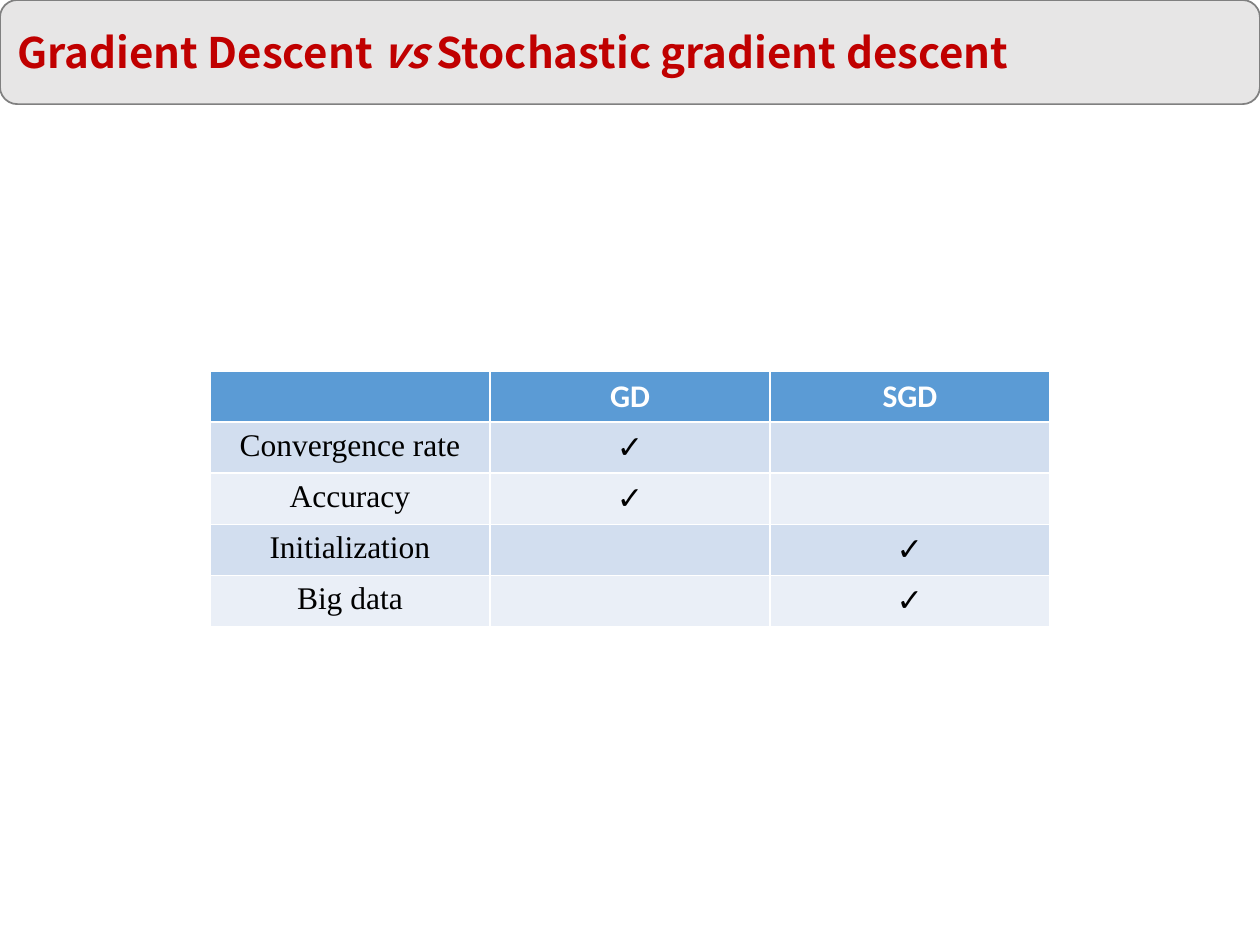
from pptx import Presentation
from pptx.dml.color import RGBColor
from pptx.enum.shapes import MSO_SHAPE
from pptx.enum.text import MSO_ANCHOR, PP_ALIGN
from pptx.util import Pt


def rgb(color):
    return RGBColor.from_string(color)


def style(r, size, font, color, bold=False, italic=False):
    r.font.size = Pt(size)
    r.font.name = font
    r.font.color.rgb = rgb(color)
    r.font.bold = bold
    r.font.italic = italic


prs = Presentation()
prs.slide_width, prs.slide_height = Pt(720), Pt(540)
s = prs.slides.add_slide(prs.slide_layouts[6])

# Title bar
sp = s.shapes.add_shape(MSO_SHAPE.ROUNDED_RECTANGLE, 0, 0, Pt(720), Pt(59.5))
sp.shadow.inherit = False
sp.fill.solid()
sp.fill.fore_color.rgb = rgb("E7E6E6")
sp.line.color.rgb = rgb("808080")
sp.line.width = Pt(1)
tf = sp.text_frame
tf.vertical_anchor = MSO_ANCHOR.MIDDLE
p = tf.paragraphs[0]
p.alignment = PP_ALIGN.LEFT
for text in ("Gradient Descent ", "vs", " Stochastic gradient descent"):
    r = p.add_run()
    r.text = text
    style(r, 24, "Noto Sans CJK SC", "C00000", bold=True, italic=text == "vs")

# Comparison table; the default table style draws the white borders
rows = [
    ("", "GD", "SGD"),
    ("Convergence rate", "✓", ""),
    ("Accuracy", "✓", ""),
    ("Initialization", "", "✓"),
    ("Big data", "", "✓"),
]
HEADER, BANDS = "5B9BD5", ("EAEFF7", "D2DEEF")
table = s.shapes.add_table(len(rows), 3, Pt(120), Pt(212), Pt(480), Pt(146)).table
for i, row in enumerate(rows):
    for j, text in enumerate(row):
        cell = table.cell(i, j)
        cell.fill.solid()
        cell.fill.fore_color.rgb = rgb(BANDS[i % 2] if i else HEADER)
        cell.text_frame.text = text
        p = cell.text_frame.paragraphs[0]
        p.alignment = PP_ALIGN.CENTER
        font = "Times New Roman" if i and j == 0 else "Calibri"
        for r in p.runs:
            style(r, 18, font, "000000" if i else "FFFFFF", bold=i == 0)

prs.save("out.pptx")
